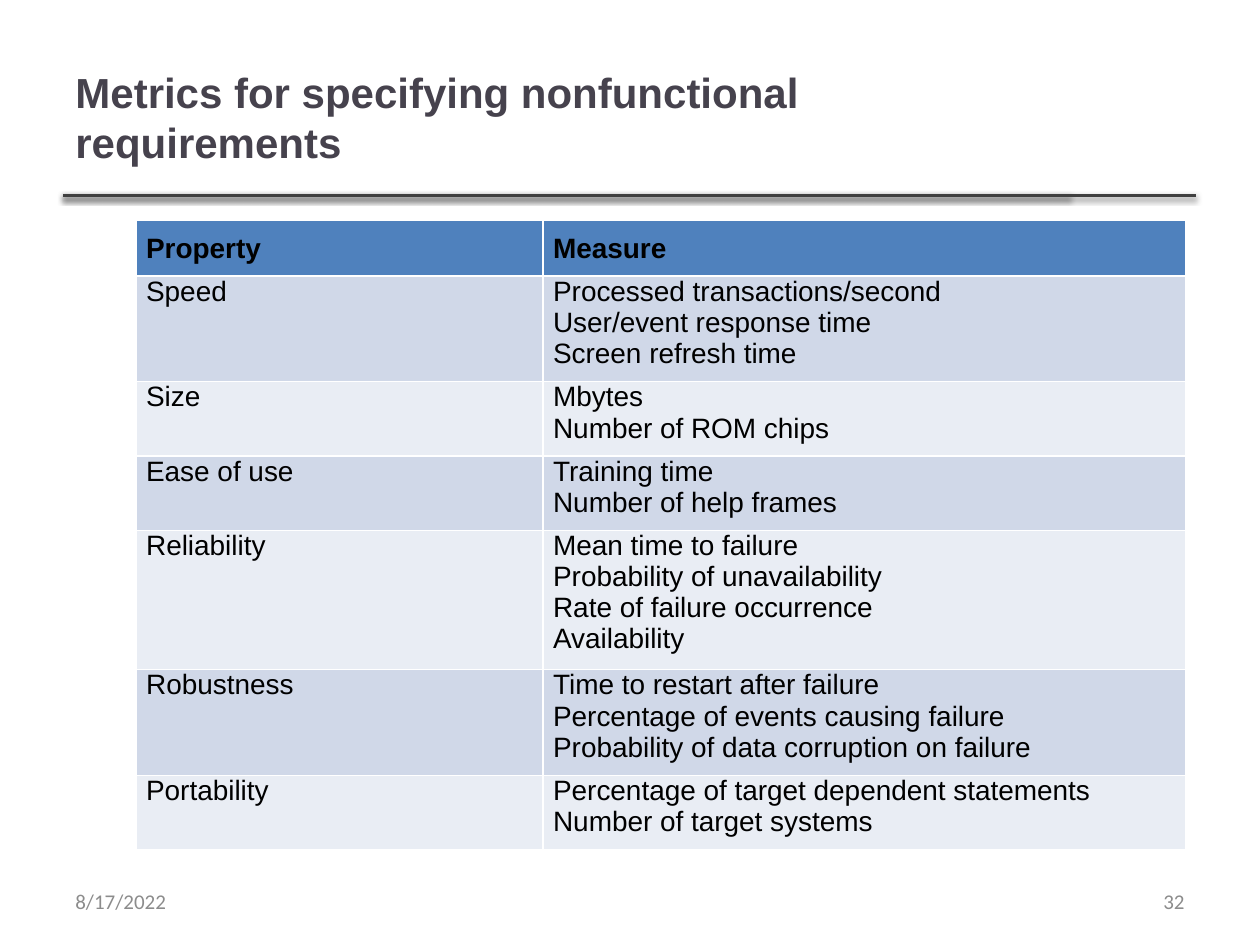
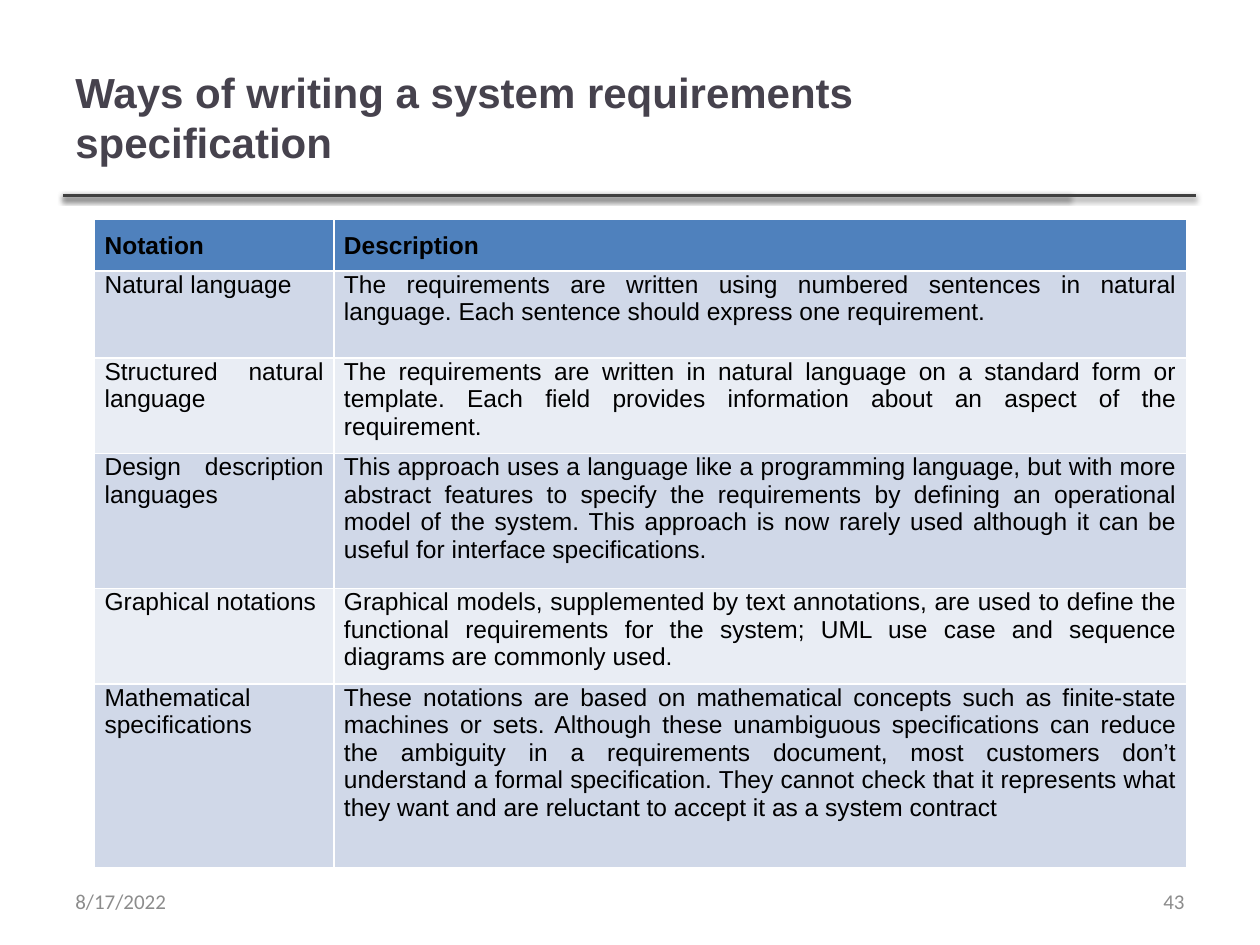
"""Build two requirements-engineering slides, each with a titled reference table."""
from dataclasses import dataclass

from lxml.etree import SubElement
from pptx import Presentation
from pptx.dml.color import RGBColor
from pptx.enum.shapes import MSO_CONNECTOR
from pptx.enum.text import MSO_ANCHOR, PP_ALIGN
from pptx.oxml.ns import qn
from pptx.slide import Slide
from pptx.table import _Cell
from pptx.text.text import TextFrame
from pptx.util import Inches, Pt

COLOURS = {
    "title": "46424D",
    "rule": "404040",
    "shadow": "000000",
    "footer": "8C8C8C",
    "body": "000000",
    "header": "4F81BD",
    "odd_row": "D0D8E8",
    "even_row": "E9EDF4",
}
FONTS = {
    "title": {"name": "Arial", "size": Pt(24), "bold": True},
    "footer": {"name": "Calibri", "size": Pt(12), "bold": False},
    "body": {"name": "Arial", "bold": False},
    "header": {"name": "Arial", "bold": True},
}
CELL_FORMAT = {
    "margin_left": Inches(0.08),
    "margin_right": Inches(0.08),
    "margin_bottom": Inches(0.04),
    "vertical_anchor": MSO_ANCHOR.TOP,
}
FRAME_FORMAT = {"word_wrap": True, "vertical_anchor": MSO_ANCHOR.MIDDLE}
LEFT_ALIGNED = {"Notation", "Reliability"}
LEFT_MARGIN = 0.5
RULE_TOP = 1.55
RULE_ENDS = (8.49, 9.49)
DATE = "8/17/2022"


@dataclass(frozen=True)
class Label:
    """A line of slide text with its place and style."""

    text: str
    left: float
    top: float
    width: float
    height: float
    role: str
    align: PP_ALIGN = PP_ALIGN.LEFT


@dataclass(frozen=True)
class Row:
    """A table row: a term and the lines that explain it."""

    term: str
    details: tuple[str, ...]
    height: float


@dataclass(frozen=True)
class Topic:
    """The title, number and table of one slide."""

    title: str
    number: int
    left: float
    top: float
    columns: tuple[float, float]
    size: int
    rows: tuple[Row, ...]


TOPICS = (
    Topic(
        "Metrics for specifying nonfunctional requirements", 32,
        1.08, 1.75, (3.23, 5.1), 16,
        (
            Row("Property", ("Measure",), 0.44),
            Row("Speed", ("Processed transactions/second", "User/event response time",
                          "Screen refresh time"), 0.84),
            Row("Size", ("Mbytes", "Number of ROM chips"), 0.59),
            Row("Ease of use", ("Training time", "Number of help frames"), 0.59),
            Row("Reliability", ("Mean time to failure", "Probability of unavailability",
                                "Rate of failure occurrence", "Availability"), 1.09),
            Row("Robustness", ("Time to restart after failure",
                               "Percentage of events causing failure",
                               "Probability of data corruption on failure"), 0.84),
            Row("Portability", ("Percentage of target dependent statements",
                                "Number of target systems"), 0.59),
        ),
    ),
    Topic(
        "Ways of writing a system requirements specification", 43,
        0.75, 1.74, (1.9, 6.77), 14,
        (
            Row("Notation", ("Description",), 0.41),
            Row("Natural language", (
                "The requirements are written using numbered sentences in natural language. "
                "Each sentence should express one requirement.",), 0.69),
            Row("Structured natural language", (
                "The requirements are written in natural language on a standard form or "
                "template. Each field provides information about an aspect of the "
                "requirement.",), 0.76),
            Row("Design description languages", (
                "This approach uses a language like a programming language, but with more "
                "abstract features to specify the requirements by defining an operational "
                "model of the system. This approach is now rarely used although it can be "
                "useful for interface specifications.",), 1.07),
            Row("Graphical notations", (
                "Graphical models, supplemented by text annotations, are used to define the "
                "functional requirements for the system; UML use case and sequence diagrams "
                "are commonly used.",), 0.76),
            Row("Mathematical specifications", (
                "These notations are based on mathematical concepts such as finite-state "
                "machines or sets. Although these unambiguous specifications can reduce the "
                "ambiguity in a requirements document, most customers don’t understand a "
                "formal specification. They cannot check that it represents what they want "
                "and are reluctant to accept it as a system contract",), 1.46),
        ),
    ),
)


def apply_format(target: object, values: dict) -> None:
    """Set each named attribute of the target."""
    for name, value in values.items():
        setattr(target, name, value)


def write_lines(frame: TextFrame, lines: tuple[str, ...], font: dict, colour: str,
                align: PP_ALIGN) -> None:
    """Write one styled paragraph for each line."""
    for index, line in enumerate(lines):
        paragraph = frame.add_paragraph() if index else frame.paragraphs[0]
        paragraph.alignment = align
        run = paragraph.add_run()
        run.text = line
        apply_format(run.font, font)
        run.font.color.rgb = RGBColor.from_string(COLOURS[colour])


def draw_label(slide: Slide, label: Label) -> None:
    """Draw a title or footer text."""
    place = (label.left, label.top, label.width, label.height)
    frame = slide.shapes.add_textbox(*map(Inches, place)).text_frame
    apply_format(frame, FRAME_FORMAT)
    write_lines(frame, (label.text,), FONTS[label.role], label.role, label.align)


def draw_rule(slide: Slide, end: float) -> None:
    """Draw a shadowed rule below the title."""
    rule = slide.shapes.add_connector(
        MSO_CONNECTOR.STRAIGHT, Inches(LEFT_MARGIN), Inches(RULE_TOP),
        Inches(end), Inches(RULE_TOP))
    rule.line.width = Pt(2)
    rule.line.color.rgb = RGBColor.from_string(COLOURS["rule"])
    effects = SubElement(rule._element.spPr, qn("a:effectLst"))
    shadow = SubElement(effects, qn("a:outerShdw"), blurRad=str(Pt(3.1)),
                        dist=str(Pt(1.6)), dir="5400000", rotWithShape="0")
    tint = SubElement(shadow, qn("a:srgbClr"), val=COLOURS["shadow"])
    SubElement(tint, qn("a:alpha"), val="38000")


def fill_cell(cell: _Cell, lines: tuple[str, ...], row_index: int, size: int) -> None:
    """Format a cell and write its lines."""
    is_header = row_index == 0
    band = "header" if is_header else "odd_row" if row_index % 2 else "even_row"
    apply_format(cell, CELL_FORMAT | {"margin_top": Inches(0.1 if is_header else 0)})
    cell.fill.solid()
    cell.fill.fore_color.rgb = RGBColor.from_string(COLOURS[band])
    font = FONTS["header" if is_header else "body"] | {"size": Pt(size)}
    align = PP_ALIGN.LEFT if lines[0] in LEFT_ALIGNED else PP_ALIGN.JUSTIFY
    write_lines(cell.text_frame, lines, font, "body", align)


def draw_table(slide: Slide, topic: Topic) -> None:
    """Draw the table of a topic."""
    width = sum(topic.columns)
    height = sum(row.height for row in topic.rows)
    table = slide.shapes.add_table(
        len(topic.rows), len(topic.columns),
        *map(Inches, (topic.left, topic.top, width, height))).table
    for column, column_width in zip(table.columns, topic.columns):
        column.width = Inches(column_width)
    for row_index, row in enumerate(topic.rows):
        table.rows[row_index].height = Inches(row.height)
        for column_index, lines in enumerate(((row.term,), row.details)):
            fill_cell(table.cell(row_index, column_index), lines, row_index, topic.size)


def draw_topic(slide: Slide, topic: Topic) -> None:
    """Draw the shared frame and the table of one slide."""
    for end in RULE_ENDS:
        draw_rule(slide, end)
    labels = (
        Label(topic.title, LEFT_MARGIN, 0.3, 7.98, 1.25, "title"),
        Label(str(topic.number), 7.17, 6.95, 2.33, 0.4, "footer", PP_ALIGN.RIGHT),
        Label(DATE, LEFT_MARGIN, 6.95, 2.33, 0.4, "footer"),
    )
    for label in labels:
        draw_label(slide, label)
    draw_table(slide, topic)


def main() -> None:
    """Build and save the presentation."""
    deck = Presentation()
    apply_format(deck, {"slide_width": Inches(10), "slide_height": Inches(7.5)})
    for topic in TOPICS:
        draw_topic(deck.slides.add_slide(deck.slide_layouts[6]), topic)
    deck.save("out.pptx")


if __name__ == "__main__":
    main()
